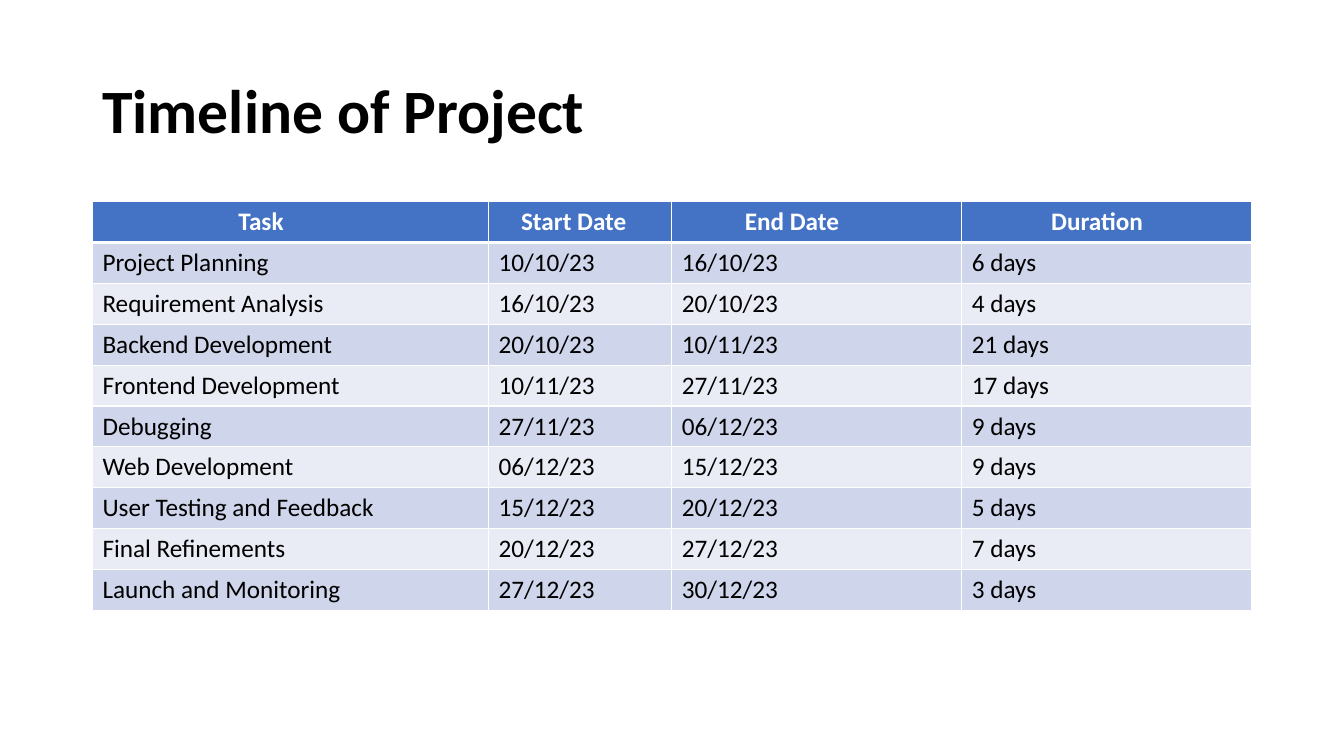
from dataclasses import dataclass

from lxml.etree import SubElement
from pptx import Presentation
from pptx.dml.color import RGBColor
from pptx.enum.text import MSO_ANCHOR
from pptx.oxml.ns import qn
from pptx.util import Cm, Pt


@dataclass(frozen=True)
class Theme:
    font: str = "Calibri"
    title_size: int = 44
    table_size: int = 18
    ink: str = "000000"
    header_ink: str = "FFFFFF"
    header_fill: str = "4472C4"
    band_fills: tuple = ("CFD5EA", "E9EBF5")
    rule: str = "FFFFFF"
    thin_rule: int = 1
    thick_rule: int = 3


THEME = Theme()

# Heading, column width and heading indent, both in cm
COLUMNS = [
    ("Task", 9.98, 3.68),
    ("Start Date", 4.62, 0.82),
    ("End Date", 7.31, 1.84),
    ("Duration", 7.31, 2.25),
]
TASKS = [
    ("Project Planning", "10/10/23", "16/10/23", "6 days"),
    ("Requirement Analysis", "16/10/23", "20/10/23", "4 days"),
    ("Backend Development", "20/10/23", "10/11/23", "21 days"),
    ("Frontend Development", "10/11/23", "27/11/23", "17 days"),
    ("Debugging", "27/11/23", "06/12/23", "9 days"),
    ("Web Development", "06/12/23", "15/12/23", "9 days"),
    ("User Testing and Feedback", "15/12/23", "20/12/23", "5 days"),
    ("Final Refinements", "20/12/23", "27/12/23", "7 days"),
    ("Launch and Monitoring", "27/12/23", "30/12/23", "3 days"),
]


def style_font(font, size, color, bold):
    font.name = THEME.font
    font.size = Pt(size)
    font.bold = bold
    font.color.rgb = RGBColor.from_string(color)


def add_title(slide, text, left, top, width, height):
    title = slide.shapes.add_textbox(Cm(left), Cm(top), Cm(width), Cm(height))
    frame = title.text_frame
    frame.word_wrap = True
    frame.vertical_anchor = MSO_ANCHOR.MIDDLE
    heading = frame.paragraphs[0]
    heading.text = text
    heading.line_spacing = 0.9
    style_font(heading.font, THEME.title_size, THEME.ink, True)


def set_borders(cell, top, bottom):
    properties = cell._tc.get_or_add_tcPr()
    widths = {"lnL": THEME.thin_rule, "lnR": THEME.thin_rule, "lnT": top, "lnB": bottom}
    for side, width in widths.items():
        line = SubElement(properties, qn(f"a:{side}"), w=str(Pt(width)))
        fill = SubElement(line, qn("a:solidFill"))
        SubElement(fill, qn("a:srgbClr"), val=THEME.rule)


def fill_cell(cell, text, fill, ink, bold, top, bottom):
    # Borders precede the fill in the cell properties
    set_borders(cell, top, bottom)
    cell.fill.solid()
    cell.fill.fore_color.rgb = RGBColor.from_string(fill)
    entry = cell.text_frame.paragraphs[0]
    entry.text = text
    style_font(entry.font, THEME.table_size, ink, bold)


def add_schedule(slide, left, top, width, height):
    row_count = len(TASKS) + 1
    schedule = slide.shapes.add_table(
        row_count, len(COLUMNS), Cm(left), Cm(top), Cm(width), Cm(height)
    ).table
    for row in schedule.rows:
        row.height = Cm(height / row_count)

    # Header row
    for index, (heading, column_width, indent) in enumerate(COLUMNS):
        schedule.columns[index].width = Cm(column_width)
        cell = schedule.cell(0, index)
        fill_cell(cell, heading, THEME.header_fill, THEME.header_ink, True,
                  THEME.thin_rule, THEME.thick_rule)
        cell.margin_left = Cm(indent)

    # Task rows, in alternating bands
    for row_index, task in enumerate(TASKS, start=1):
        band = THEME.band_fills[(row_index - 1) % 2]
        top_rule = THEME.thick_rule if row_index == 1 else THEME.thin_rule
        for index, value in enumerate(task):
            fill_cell(schedule.cell(row_index, index), value, band, THEME.ink,
                      False, top_rule, THEME.thin_rule)


def main():
    presentation = Presentation()
    presentation.slide_width = Cm(33.87)
    presentation.slide_height = Cm(19.05)
    slide = presentation.slides.add_slide(presentation.slide_layouts[6])
    add_title(slide, "Timeline of Project", 2.33, 1.01, 29.21, 3.68)
    add_schedule(slide, 2.33, 5.08, 29.22, 10.3)
    presentation.save("out.pptx")


if __name__ == "__main__":
    main()
